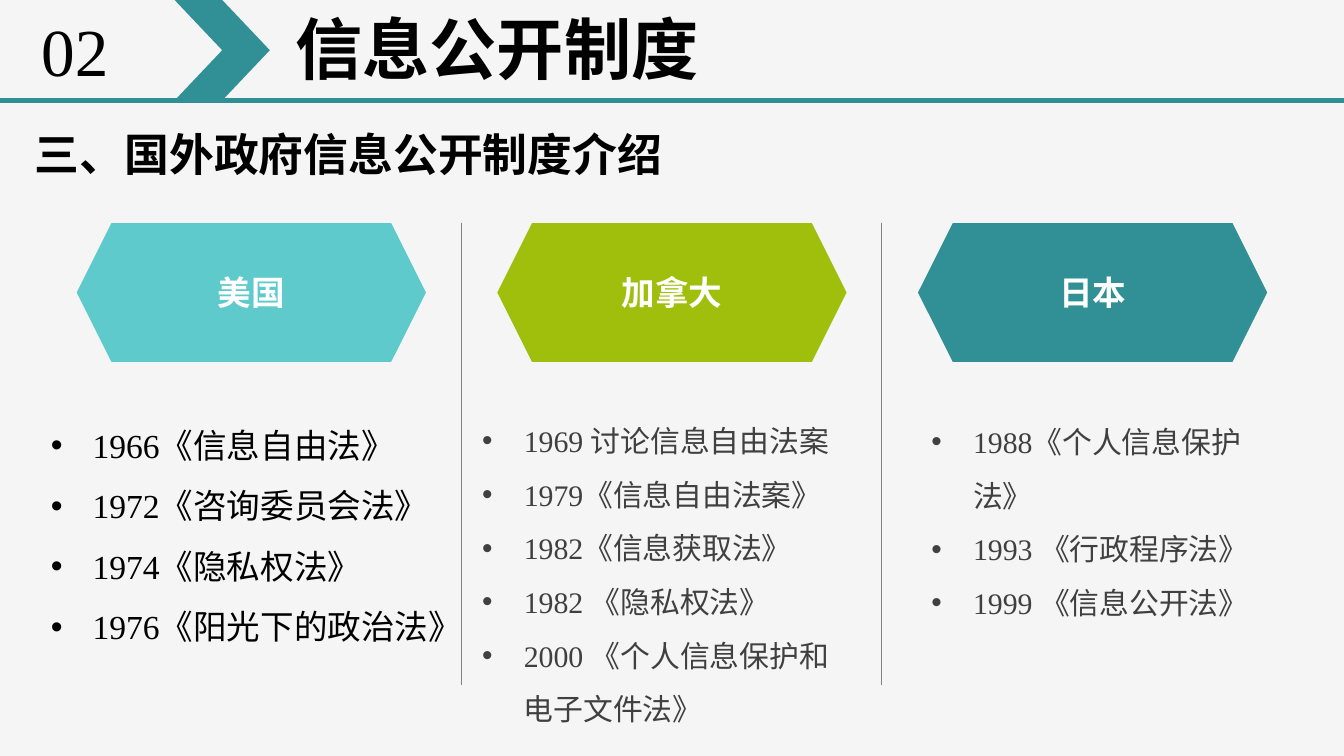
import pptx
import pptx.dml.color
import pptx.enum.shapes
import pptx.enum.text
import pptx.oxml.ns
import pptx.util
from lxml import etree

Cm = pptx.util.Cm
Pt = pptx.util.Pt
Shape = pptx.enum.shapes.MSO_SHAPE
Anchor = pptx.enum.text.MSO_ANCHOR
Align = pptx.enum.text.PP_ALIGN
qn = pptx.oxml.ns.qn

COLORS = {
    "background": "F5F5F5",
    "black": "000000",
    "body": "404040",
    "white": "FFFFFF",
    "divider": "808080",
    "aqua": "5FCACB",
    "green": "A0BF0D",
    "teal": "319095",
}
NARROW_INSETS = (0.2, 0.1)
WIDE_INSETS = (0.25, 0.13)


def rgb(name):
    return pptx.dml.color.RGBColor.from_string(COLORS[name])


class SlideBuilder:
    font_name = "Times New Roman"

    def __init__(self, slide):
        self.slide = slide
        slide.background.fill.solid()
        slide.background.fill.fore_color.rgb = rgb("background")

    def place(self, shape, left, top, width, height):
        box = {"left": left, "top": top, "width": width, "height": height}
        for key, value in box.items():
            setattr(shape, key, Cm(value))

    def fill_text(self, shape, lines, size, color, bold=False, align=Align.LEFT,
                  anchor=Anchor.TOP, insets=WIDE_INSETS, wrap=True, spacing=1.0,
                  bullet=False):
        frame = shape.text_frame
        side, edge = insets
        frame_format = {
            "word_wrap": wrap,
            "auto_size": pptx.enum.text.MSO_AUTO_SIZE.NONE,
            "vertical_anchor": anchor,
            "margin_left": Cm(side),
            "margin_right": Cm(side),
            "margin_top": Cm(edge),
            "margin_bottom": Cm(edge),
        }
        for key, value in frame_format.items():
            setattr(frame, key, value)
        frame.text = "\n".join(lines)
        paragraph_format = {"alignment": align, "line_spacing": spacing,
                            "space_before": Pt(0), "space_after": Pt(0)}
        font_format = {"name": self.font_name, "size": Pt(size), "bold": bold}
        for paragraph in frame.paragraphs:
            self.mark(paragraph, bullet)
            for key, value in paragraph_format.items():
                setattr(paragraph, key, value)
            for run in paragraph.runs:
                for key, value in font_format.items():
                    setattr(run.font, key, value)
                run.font.color.rgb = rgb(color)

    def mark(self, paragraph, bullet):
        properties = paragraph._p.get_or_add_pPr()
        indent = Cm(0.79) if bullet else 0
        properties.set("marL", str(indent))
        properties.set("indent", str(-indent))
        if bullet:
            etree.SubElement(properties, qn("a:buFont"), typeface="Arial")
            etree.SubElement(properties, qn("a:buChar"), char="•")
        else:
            etree.SubElement(properties, qn("a:buNone"))

    def placeholder(self, index, box, lines, size, color, **style):
        holder = self.slide.placeholders[index]
        self.place(holder, *box)
        self.fill_text(holder, lines, size, color, **style)

    def textbox(self, box, text, size, color, **style):
        label = self.slide.shapes.add_textbox(*map(Cm, box))
        self.fill_text(label, [text], size, color, **style)

    def block(self, kind, box, color):
        block = self.slide.shapes.add_shape(kind, *map(Cm, box))
        block.shadow.inherit = False
        block.fill.solid()
        block.fill.fore_color.rgb = rgb(color)
        block.line.fill.background()
        return block

    def line(self, start, end, color, width):
        line = self.slide.shapes.add_connector(
            pptx.enum.shapes.MSO_CONNECTOR.STRAIGHT, *map(Cm, start + end))
        line.line.color.rgb = rgb(color)
        line.line.width = Pt(width)
        etree.SubElement(line._element.spPr, qn("a:effectLst"))


def main():
    presentation = pptx.Presentation()
    presentation.slide_width = Cm(25.4)
    presentation.slide_height = Cm(14.29)
    comparison_layout = presentation.slide_layouts[4]
    builder = SlideBuilder(presentation.slides.add_slide(comparison_layout))

    builder.line((0, 1.9), (25.4, 1.9), "teal", 2.25)
    builder.block(Shape.CHEVRON, (3.3, 0, 1.8, 1.9), "teal")
    builder.textbox((0.58, 0.08, 1.7, 1.75), "02", 36, "black",
                    insets=NARROW_INSETS, wrap=False)
    builder.placeholder(0, (5.38, 0.03, 13.3, 1.75), ["信息公开制度"], 36, "black",
                        bold=True, insets=NARROW_INSETS)
    builder.placeholder(1, (0.41, 2.26, 14.88, 1.27), ["三、国外政府信息公开制度介绍"],
                        24, "black", bold=True)

    countries = [
        ("美国", "aqua", (0.71, 7.52, 8.36, 5.8), 18, "black",
         ["1966《信息自由法》", "1972《咨询委员会法》", "1974《隐私权法》",
          "1976《阳光下的政治法》"]),
        ("加拿大", "green", (8.86, 7.52, 7.52, 6.4), 16, "body",
         ["1969 讨论信息自由法案", "1979《信息自由法案》", "1982《信息获取法》",
          "1982 《隐私权法》", "2000 《个人信息保护和电子文件法》"]),
        ("日本", "teal", (17.35, 7.54, 6.96, 4.3), 16, "body",
         ["1988《个人信息保护法》", "1993 《行政程序法》", "1999 《信息公开法》"]),
    ]
    column_pitch = 7.95
    for column, (country, fill, list_box, size, color, laws) in enumerate(countries):
        offset = column * column_pitch
        header = builder.block(Shape.HEXAGON, (1.45 + offset, 4.22, 6.6, 2.62), fill)
        builder.fill_text(header, [country], 18, "white", bold=True, align=Align.CENTER,
                          anchor=Anchor.MIDDLE, insets=NARROW_INSETS)
        builder.placeholder(column + 2, list_box, laws, size, color,
                            spacing=1.5, bullet=True)
        if column:
            divider = 0.76 + offset
            builder.line((divider, 4.22), (divider, 12.95), "divider", 0.25)

    presentation.save("out.pptx")


if __name__ == "__main__":
    main()
